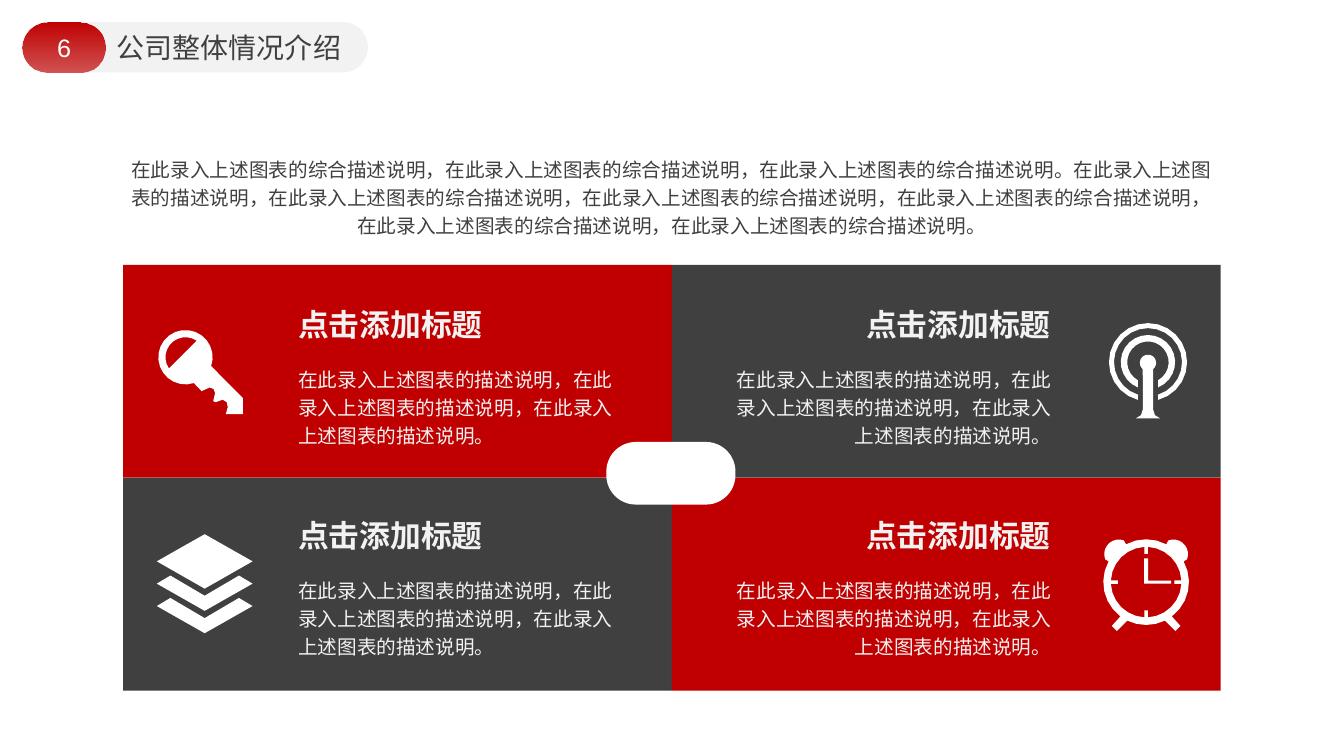
from math import ceil, cos, radians, sin

from lxml.etree import SubElement
from pptx import Presentation
from pptx.dml.color import RGBColor
from pptx.enum.shapes import MSO_SHAPE as Shape
from pptx.enum.text import MSO_AUTO_SIZE as AutoSize, PP_ALIGN as Align
from pptx.oxml.ns import qn
from pptx.util import Pt

RED = RGBColor(0xC0, 0x00, 0x00)
DARK = RGBColor(0x40, 0x40, 0x40)
LIGHT = RGBColor(0xF2, 0xF2, 0xF2)
WHITE = RGBColor(0xFF, 0xFF, 0xFF)
LATIN, CHINESE = "Arial", "Noto Sans CJK SC"

deck = Presentation()
deck.slide_width, deck.slide_height = Pt(960), Pt(540)
page = deck.slides.add_slide(deck.slide_layouts[6])


def add_text(text, left, top, width, height, size, color, font=CHINESE,
             align=Align.LEFT, bold=False, spacing=None, wrap=True):
    box = page.shapes.add_textbox(Pt(left), Pt(top), Pt(width), Pt(height))
    frame = box.text_frame
    frame.word_wrap = wrap
    frame.auto_size = AutoSize.SHAPE_TO_FIT_TEXT
    para = frame.paragraphs[0]
    para.alignment = align
    para.line_spacing = spacing
    span = para.add_run()
    span.text = text
    span.font.size = Pt(size)
    span.font.bold = bold
    span.font.color.rgb = color
    span.font.name = font
    SubElement(span.font._element, qn("a:ea")).set("typeface", font)


def arc(x, y, radius, start, end):
    """Points along a circle; angles in degrees, clockwise from the right."""
    steps = ceil(abs(end - start) / 15)
    angles = [radians(start + (end - start) * i / steps) for i in range(steps + 1)]
    return [(x + radius * cos(a), y + radius * sin(a)) for a in angles]


# Header pill, number badge, cards and centre pill
mid_x, mid_y = 480, 341.3
card_w, card_h = 392, 152
left_x, top_y = 88, mid_y - card_h
panels = [
    (Shape.ROUNDED_RECTANGLE, 0.5, 15.8, 15.8, 247, 36, LIGHT),
    (Shape.ROUNDED_RECTANGLE, 0.5, 15.8, 15.8, 59.4, 36, None),
    (Shape.RECTANGLE, None, left_x, top_y, card_w, card_h, RED),
    (Shape.RECTANGLE, None, left_x, mid_y, card_w, card_h, DARK),
    (Shape.RECTANGLE, None, mid_x, top_y, card_w, card_h, DARK),
    (Shape.RECTANGLE, None, mid_x, mid_y, card_w, card_h, RED),
    (Shape.ROUNDED_RECTANGLE, 0.47, 434.2, 316.8, 90, 42.5, WHITE),
]
for kind, rounding, x, y, w, h, color in panels:
    panel = page.shapes.add_shape(kind, Pt(x), Pt(y), Pt(w), Pt(h))
    panel.shadow.inherit = False
    panel.line.fill.background()
    if rounding:
        panel.adjustments[0] = rounding
    if color is None:
        panel.fill.gradient()
        panel.fill.gradient_angle = 270
        for stop in panel.fill.gradient_stops:
            stop.color.rgb = RED
        faded = list(panel._element.spPr.iter(qn("a:srgbClr")))[-1]
        SubElement(faded, qn("a:alpha")).set("val", "65000")
    else:
        panel.fill.solid()
        panel.fill.fore_color.rgb = color
    if color == WHITE:
        panel.line.color.rgb = WHITE
        panel.line.width = Pt(2.25)

# Header text
add_text("6", 27.4, 19.4, 36.7, 28.8, 18, WHITE, LATIN, Align.CENTER, wrap=False)
add_text("公司整体情况介绍", 76.3, 18, 176.4, 31.7, 20, DARK, LATIN)

# Antenna: two open rings and a mast
ant_x, ant_y = 820, 258.7
inner_ring = arc(ant_x, ant_y, 19.4, 112, 428) + arc(ant_x, ant_y, 14.8, 421, 119)
outer_ring = arc(ant_x, ant_y, 27.9, 105, 435) + arc(ant_x, ant_y, 24.3, 433, 107)
foot = [(3.6, 292.3), (5, 296.6), (8.6, 298.8)]
mast = (arc(ant_x, 259.2, 5.8, 130, 410)
        + [(ant_x + dx, y) for dx, y in foot]
        + [(ant_x - dx, y) for dx, y in reversed(foot)])

# Alarm clock: mirrored outline with legs and bells, dial with ticks, hands
clock_x, clock_y = 818.7, 415.8
half = (arc(0, 0, 30.6, 90, 64)
        + [(13.7, 27.7), (20.9, 34.9), (24.5, 31.3), (18, 24.1)]
        + arc(0, 0, 30.6, 53, -29)
        + arc(19.5, -20, 10.4, 21, -110)
        + arc(0, 0, 30.6, -62, -90))
clock = ([(clock_x + dx, clock_y + dy) for dx, dy in half]
         + [(clock_x - dx, clock_y + dy) for dx, dy in reversed(half)])
dial = []
for quarter in range(0, 360, 90):
    dial += arc(clock_x, clock_y, 25.2, quarter + 3, quarter + 87)
    dial += arc(clock_x, clock_y, 20.2, quarter + 86.5, quarter + 93.5)
hands = [(817.2, 398.9), (820.1, 398.9), (820.1, 414.7),
         (836.6, 414.7), (836.6, 416.9), (817.2, 416.9)]

# Key: round head with a half-disc opening, toothed shaft
key_x, key_y = 132.5, 255.2
key = arc(key_x, key_y, 19.4, 72, 379) + [
    (173.5, 284.4), (173.5, 295.9), (161.3, 295.9), (162.7, 290.9),
    (162, 287.3), (159.1, 285.5), (154.1, 287.3), (152.3, 286.6),
    (153.7, 280.8), (152.6, 277.9), (149.8, 276.8), (144, 279.4)]
key_hole = arc(key_x, key_y, 14.3, 146, 304)

# Layers: a diamond over two chevrons
lay_x = 146.2
chevron = [(0, 425.5), (-24.5, 411.1), (-34.2, 416.9),
           (0, 436.3), (34.2, 416.9), (24.5, 411.1)]
middle, lower = [[(lay_x + dx, y + drop) for dx, y in chevron] for drop in (0, 16)]
diamond = [(lay_x + 34.2, 401), (lay_x, 381.6), (lay_x - 34.2, 401), (lay_x, 420.5)]

# Draw the icons
icons = [[inner_ring], [outer_ring], [mast], [clock, dial], [hands],
         [key, key_hole], [middle], [lower], [diamond]]
for contours in icons:
    points = [[(Pt(x), Pt(y)) for x, y in contour] for contour in contours]
    outline = page.shapes.build_freeform(*points[0][0])
    outline.add_line_segments(points[0][1:])
    for opening in points[1:]:
        outline.move_to(*opening[0])
        outline.add_line_segments(opening[1:])
    icon = outline.convert_to_shape()
    icon.shadow.inherit = False
    icon.fill.solid()
    icon.fill.fore_color.rgb = WHITE
    icon.line.fill.background()

# Card titles and descriptions
columns = [(205.9, 205.9, Align.LEFT), (568.1, 516.2, Align.RIGHT)]
for row in range(2):
    for title_x, body_x, align in columns:
        shift = row * 151
        add_text("点击添加标题", title_x, 214.6 + shift, 189.4, 33.8, 22, LIGHT,
                 align=align, bold=True)
        add_text("在此录入上述图表的描述说明，" * 2 + "在此录入上述图表的描述说明。",
                 body_x, 255.6 + shift, 241.9, 67, 14, LIGHT,
                 align=align, spacing=1.2)

# Summary paragraph
summary = "在此录入上述图表的综合描述说明"
add_text("，".join([summary] * 3) + "。在此录入上述图表的描述说明，"
         + "，".join([summary] * 5) + "。",
         81.4, 105.8, 797, 67, 14, DARK, align=Align.CENTER, spacing=1.2)

deck.save("out.pptx")
